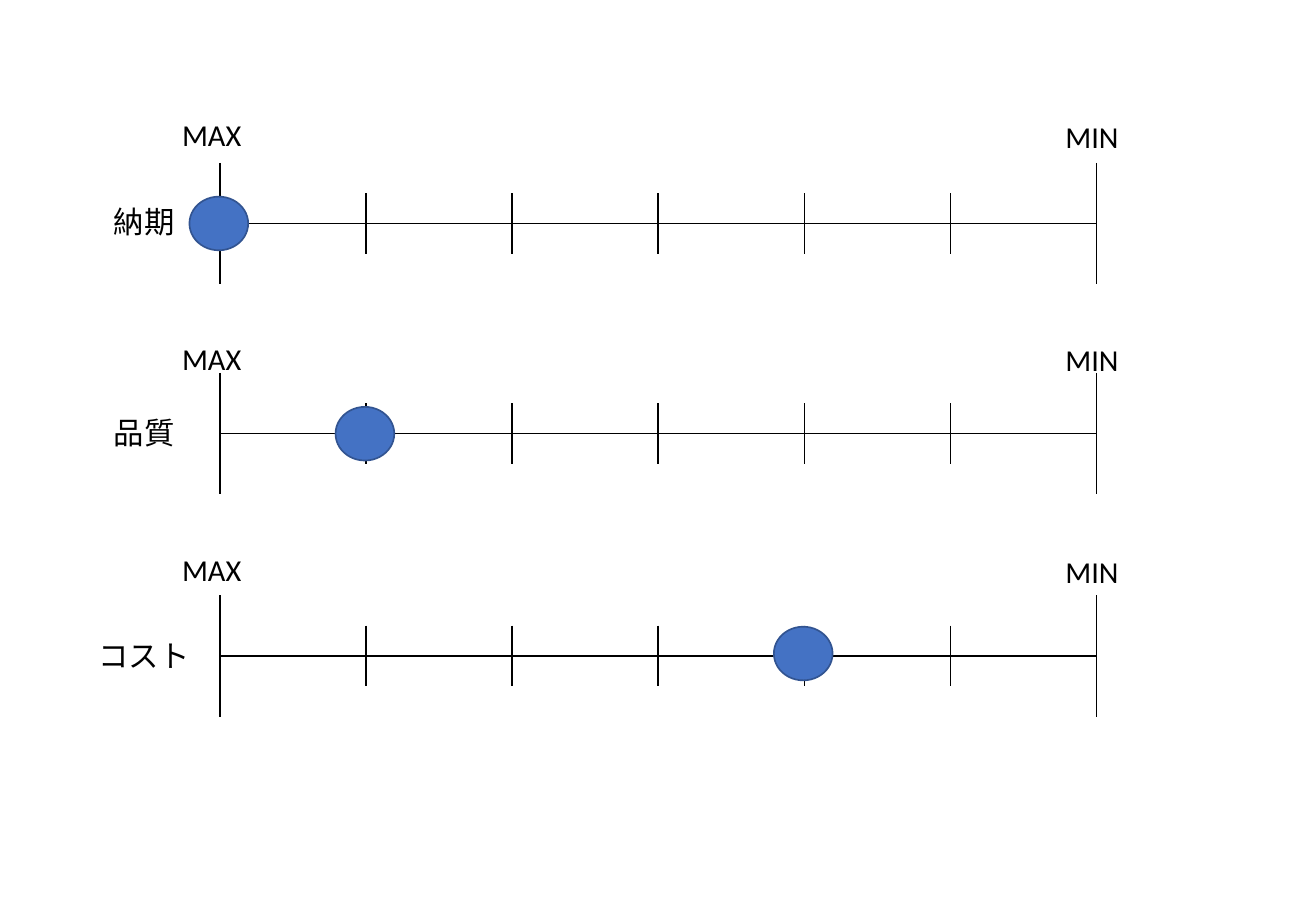
from lxml import etree
from pptx import Presentation
from pptx.dml.color import RGBColor
from pptx.enum.shapes import MSO_SHAPE
from pptx.enum.text import MSO_AUTO_SIZE
from pptx.oxml.ns import qn
from pptx.util import Pt

ELLIPSE = MSO_SHAPE.OVAL
FIT_TEXT = MSO_AUTO_SIZE.SHAPE_TO_FIT_TEXT
BLACK = RGBColor(0, 0, 0)
DOT_FILL = RGBColor(0x44, 0x72, 0xC4)
DOT_LINE = RGBColor(0x32, 0x54, 0x91)

STEPS, BANDS = 6, 4
SCALE_LEFT, STEP_WIDTH, BAND_HEIGHT = 130.3, 86.6, 18
DOT_WIDTH, DOT_HEIGHT = 34.8, 31.8

# name, name left and width, name top, scale top, end label top, dot top, dot step
SCALES = [
    ("納期", 60.3, 51, 116.6, 96.5, 65.5, 116.6, 0),
    ("品質", 60.3, 51, 242, 221, 198, 241.2, 1),
    ("コスト", 51.2, 69, 374.4, 352.8, 323.3, 371.5, 4),
]

deck = Presentation()
deck.slide_width, deck.slide_height = Pt(780), Pt(540)
page = deck.slides.add_slide(deck.slide_layouts[6])


def add_text(text, left, top, width, height=29, size=18, font="Calibri", color=BLACK):
    """Add a single-line label."""
    box = page.shapes.add_textbox(Pt(left), Pt(top), Pt(width), Pt(height))
    box.text_frame.word_wrap = False
    box.text_frame.auto_size = FIT_TEXT
    span = box.text_frame.paragraphs[0].add_run()
    span.text = text
    span.font.size = Pt(size)
    span.font.name = font
    span.font.color.rgb = color


def set_border(cell, side, visible):
    """Draw one side of a cell in black, or leave it without a line."""
    line = etree.SubElement(cell._tc.get_or_add_tcPr(), qn("a:ln" + side), w=str(Pt(1)))
    if visible:
        fill = etree.SubElement(line, qn("a:solidFill"))
        etree.SubElement(fill, qn("a:srgbClr"), val=str(BLACK))
    else:
        etree.SubElement(line, qn("a:noFill"))


for name, name_left, name_width, name_top, scale_top, end_top, dot_top, dot_step in SCALES:
    scale = page.shapes.add_table(
        BANDS, STEPS, Pt(SCALE_LEFT), Pt(scale_top),
        Pt(STEPS * STEP_WIDTH), Pt(BANDS * BAND_HEIGHT)).table
    scale.first_row = scale.horz_banding = False
    for column in scale.columns:
        column.width = Pt(STEP_WIDTH)
    for band in range(BANDS):
        scale.rows[band].height = Pt(BAND_HEIGHT)
        ticked = band in (1, 2)
        if not ticked:
            scale.cell(band, 0).merge(scale.cell(band, STEPS - 1))
        for step in range(STEPS):
            cell = scale.cell(band, step)
            set_border(cell, "L", ticked or step == 0)
            set_border(cell, "R", ticked or step == STEPS - 1 or cell.is_merge_origin)
            set_border(cell, "T", band == 2)
            set_border(cell, "B", band == 1)
            cell.fill.background()
            cell.margin_top = cell.margin_bottom = 0
            cell.text_frame.paragraphs[0].font.size = Pt(8)

    dot_left = SCALE_LEFT - 18 + dot_step * STEP_WIDTH
    dot = page.shapes.add_shape(
        ELLIPSE, Pt(dot_left), Pt(dot_top), Pt(DOT_WIDTH), Pt(DOT_HEIGHT))
    dot.shadow.inherit = False
    dot.fill.solid()
    dot.fill.fore_color.rgb = DOT_FILL
    dot.line.color.rgb = DOT_LINE
    dot.line.width = Pt(1)

    add_text(name, name_left, name_top, name_width)
    add_text("MAX", 100.8, end_top, 59)
    add_text("MIN", 624.4, end_top + 0.8, 51)

deck.save("out.pptx")
